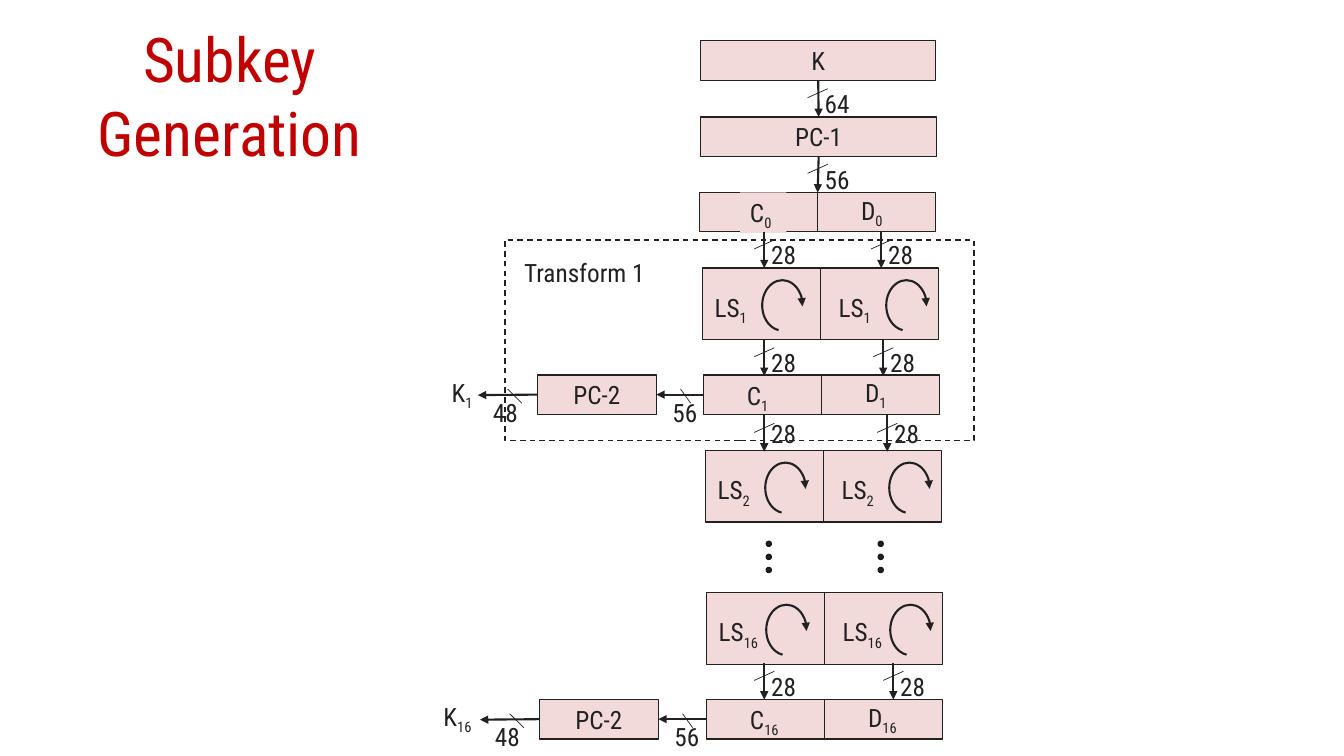
from lxml import etree
from pptx import Presentation
from pptx.dml.color import RGBColor
from pptx.enum.dml import MSO_LINE_DASH_STYLE as Dash
from pptx.enum.shapes import MSO_CONNECTOR as Connector, MSO_SHAPE as Shape
from pptx.enum.text import MSO_ANCHOR as Anchor, MSO_AUTO_SIZE as AutoSize, PP_ALIGN as Align
from pptx.oxml.ns import qn
from pptx.util import Inches, Pt

INK = RGBColor(0x21, 0x21, 0x21)
DOT_EDGE = RGBColor(0x18, 0x18, 0x18)
PINK = RGBColor(0xF1, 0xDA, 0xD9)
WHITE = RGBColor(0xFF, 0xFF, 0xFF)
RED = RGBColor(0xC0, 0x00, 0x00)
TOP, LEFT, BOTTOM, RIGHT = range(4)


def set_all(target, formats):
    for name, value in formats.items():
        setattr(target, name, value)


class Diagram:
    """Holds the text style and the slide, and draws each kind of element."""

    FONT = {"name": "Roboto Condensed", "size": Pt(18)}
    LABEL = {"word_wrap": False, "auto_size": AutoSize.SHAPE_TO_FIT_TEXT}

    def __init__(self, slide):
        self.shapes = slide.shapes

    def add_text(self, frame, text, align=Align.LEFT, color=INK, **font):
        """Fill a frame; the part of a line after "_" is a subscript."""
        for i, line in enumerate(text.split("\n")):
            paragraph = frame.add_paragraph() if i else frame.paragraphs[0]
            paragraph.alignment = align
            for level, part in enumerate(line.split("_")):
                run = paragraph.add_run()
                run.text = part
                set_all(run.font, self.FONT | font)
                run.font.color.rgb = color
                if level:
                    run._r.get_or_add_rPr().set("baseline", "-25000")

    def shape(self, kind, x, y, w, h, fill=PINK, edge=INK, width=1):
        item = self.shapes.add_shape(kind, Inches(x), Inches(y), Inches(w), Inches(h))
        item.shadow.inherit = False
        item.fill.solid()
        item.fill.fore_color.rgb = fill
        item.line.color.rgb = edge
        item.line.width = Pt(width)
        return item

    def box(self, x, y, w, h, text="", align=Align.CENTER, indent=0.1):
        item = self.shape(Shape.RECTANGLE, x, y, w, h)
        if text:
            set_all(item.text_frame, {"vertical_anchor": Anchor.MIDDLE,
                                      "margin_left": Inches(indent)})
            self.add_text(item.text_frame, text, align)
        return item

    def label(self, x, y, w, text, h=0.4, filled=False, **style):
        item = self.shapes.add_textbox(Inches(x), Inches(y), Inches(w), Inches(h))
        if filled:
            item.fill.solid()
            item.fill.fore_color.rgb = PINK
        set_all(item.text_frame, self.LABEL)
        self.add_text(item.text_frame, text, **style)

    def arrowhead(self, item):
        etree.SubElement(item.line._get_or_add_ln(), qn("a:tailEnd"), type="triangle")

    def line(self, x1, y1, x2, y2, width=1, arrow=False):
        item = self.shapes.add_connector(Connector.STRAIGHT, Inches(x1), Inches(y1),
                                         Inches(x2), Inches(y2))
        item.line.color.rgb = INK
        item.line.width = Pt(width)
        if arrow:
            self.arrowhead(item)
        etree.SubElement(item._element.spPr, qn("a:effectLst"))
        return item

    def down_bus(self, x, y, bits, label_drop=0.03):
        arrow = self.line(x, y, x, y + 0.36, 1.5, arrow=True)
        self.line(x - 0.1, y + 0.17, x + 0.1, y + 0.08, 0.5)
        self.label(x - 0.03, y + label_drop, 0.49, bits)
        return arrow

    def left_bus(self, start, end, y, bits, slash):
        arrow = self.line(start, y, end, y, 1.5, arrow=True)
        middle = (start + end) / 2
        self.line(middle, y - 0.06, middle + slash, y + 0.08, 0.5)
        self.label(end + 0.05, y - 0.03, 0.49, bits)
        return arrow

    def register(self, x, y, n, c_shift=0.33, c_width=0.46, filled=False):
        item = self.box(x, y, 2.34, 0.39, f"D_{n}", Align.LEFT, indent=1.6)
        self.line(x + 1.17, y, x + 1.17, y + 0.39)
        self.label(x + c_shift, y, c_width, f"C_{n}", filled=filled)
        return item

    def left_shift(self, x, y, n, widths=(0.64, 0.64)):
        self.box(x, y, 2.34, 0.71)
        self.line(x + 1.17, y, x + 1.17, y + 0.71)
        for half, width in zip((x + 0.02, x + 1.25), widths):
            self.label(half, y + 0.19, width, f"LS_{n}", filled=True)
            turn = self.shape(Shape.ARC, half + 0.57, y + 0.12, 0.4, 0.5, width=1.5)
            turn.adjustments[0], turn.adjustments[1] = 59.248, 1.798
            self.arrowhead(turn)

    def subkey(self, x, register, y, n, key_x, key_width):
        """PC-2 box, its buses from the register and to the subkey label."""
        choice = self.box(x, y, 1.18, 0.39, "PC-2")
        source = self.left_bus(x + 1.65, x + 1.19, y + 0.2, "56", 0.1)
        source.begin_connect(register, LEFT)
        source.end_connect(choice, RIGHT)
        self.left_bus(x, x - 0.59, y + 0.2, "48", 0.14).begin_connect(choice, LEFT)
        self.label(key_x, y - 0.03, key_width, f"K_{n}")


def main():
    deck = Presentation()
    set_all(deck, {"slide_width": Inches(13.33), "slide_height": Inches(7.5)})
    diagram = Diagram(deck.slides.add_slide(deck.slide_layouts[6]))

    # Frame of the first round
    transform = diagram.shape(Shape.RECTANGLE, 5.01, 2.38, 4.65, 1.99, fill=WHITE)
    transform.line.dash_style = Dash.DASH
    diagram.label(5.1, 2.5, 1.59, "Transform 1")

    # Key, first permutation and registers
    key = diagram.box(6.95, 0.4, 2.33, 0.4, "K")
    permutation = diagram.box(6.95, 1.16, 2.34, 0.39, "PC-1")
    start = diagram.register(6.94, 1.91, 0, c_shift=0.4, filled=True)
    first = diagram.register(6.98, 3.72, 1)
    last = diagram.register(7.01, 6.94, 16, c_width=0.56)

    # Left shifts
    diagram.left_shift(6.97, 2.66, 1)
    diagram.left_shift(7, 4.47, 2)
    diagram.left_shift(7.01, 5.88, 16, widths=(0.68, 0.74))

    # Buses down the middle
    for y, bits, upper, lower in ((0.8, "64", key, permutation),
                                  (1.55, "56", permutation, start)):
        bus = diagram.down_bus(8.11, y, bits)
        bus.begin_connect(upper, BOTTOM)
        bus.end_connect(lower, TOP)

    # Buses of the two halves
    for y, d_x, drop in ((2.3, 8.74, 0.03), (3.37, 8.76, 0.03),
                         (4.12, 8.8, -0.02), (6.58, 8.86, 0.03)):
        for x in (7.58, d_x):
            diagram.down_bus(x, y, "28", drop)

    # Subkeys
    diagram.subkey(5.33, first, 3.72, 1, 4.38, 0.45)
    diagram.subkey(5.35, last, 6.94, 16, 4.3, 0.55)

    # Skipped rounds
    for x in (7.6, 8.71):
        for i in range(3):
            diagram.shape(Shape.OVAL, x, 5.37 + 0.13 * i, 0.05, 0.05, INK, DOT_EDGE)

    # Title
    diagram.label(0.68, 0.16, 3.2, "Subkey\nGeneration", h=1.58,
                  align=Align.CENTER, color=RED, size=Pt(44))
    deck.save("out.pptx")


if __name__ == "__main__":
    main()
